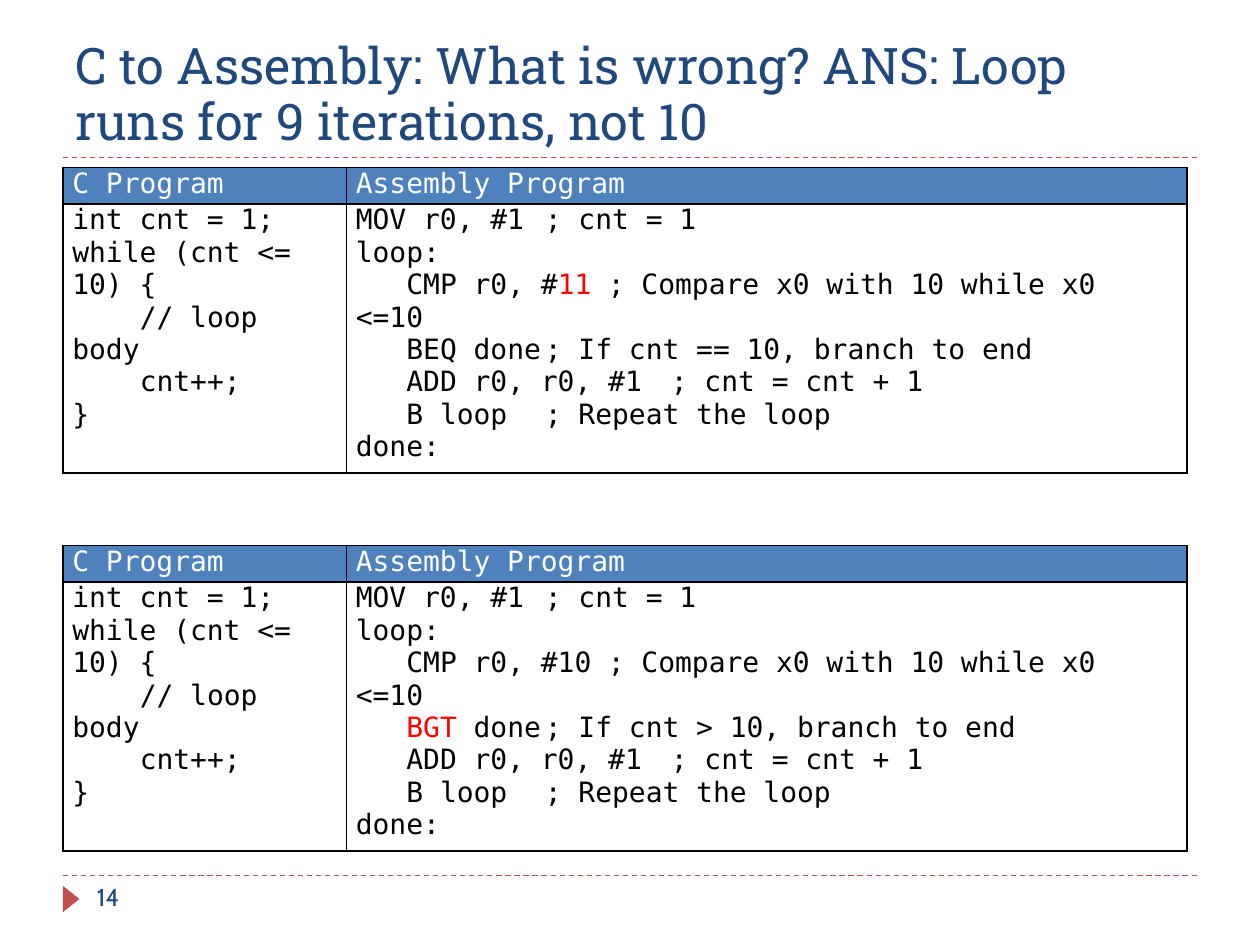
from lxml import etree
from pptx import Presentation, util as u
from pptx.dml.color import RGBColor
from pptx.enum import dml, shapes, text
from pptx.oxml.ns import qn

Pt = u.Pt

# Content: each code line is (indent in characters, text, comment);
# *stars* mark the highlighted part
TITLE = "C to Assembly: What is wrong? ANS: Loop runs for 9 iterations, not 10"
PAGE = "14"
HEADERS = ("C Program", "Assembly Program")
C_CODE = [
    (0, "int cnt = 1;", ""),
    (0, "while (cnt <= 10) {", ""),
    (4, "// loop body", ""),
    (4, "cnt++;", ""),
    (0, "}", ""),
]


def assembly(limit, branch, condition):
    return [
        (0, "MOV r0, #1", "; cnt = 1"),
        (0, "loop:", ""),
        (3, f"CMP r0, #{limit}", "; Compare x0 with 10 while x0 <=10"),
        (3, f"{branch} done", f"; If cnt {condition} 10, branch to end"),
        (3, "ADD r0, r0, #1", "; cnt = cnt + 1"),
        (3, "B loop", "; Repeat the loop"),
        (0, "done:", ""),
    ]


PROGRAMS = [assembly("*11*", "BEQ", "=="), assembly("10", "*BGT*", ">")]


class Theme:
    title_font, code_font, page_font = "Roboto Slab", "DejaVu Sans Mono", "Cabin"
    title_size, code_size, page_size = 28.8, 16, 14
    navy, accent, header = "1F497D", "C0504D", "4F81BD"
    ink, paper, mark = "000000", "FFFFFF", "FF0000"


# Layout in points
LEFT, RIGHT = 36, 684
RULES = (90, 500.4)
TABLE_TOP, TABLE_STEP = 95.76, 216
COLS, ROWS = (162, 480.24), (20.9, 144.7)
CHAR = 9.63
COMMENT_COLS = {0: 17, 3: 19.15}


def rgb(value):
    return RGBColor.from_string(value)


def style(p, font, size, color):
    p.font.name, p.font.size = font, Pt(size)
    p.font.color.rgb = rgb(color)


def add_text(s, box, content, font, size, anchor):
    tf = s.shapes.add_textbox(*map(Pt, box)).text_frame
    tf.word_wrap, tf.vertical_anchor = True, anchor
    p = tf.paragraphs[0]
    p.text = content
    style(p, font, size, Theme.navy)
    return p


def add_rule(s, y):
    ln = s.shapes.add_connector(shapes.MSO_CONNECTOR.STRAIGHT,
                                Pt(LEFT), Pt(y), Pt(RIGHT), Pt(y))
    ln.line.color.rgb = rgb(Theme.accent)
    ln.line.width = Pt(0.75)
    ln.line.dash_style = dml.MSO_LINE.DASH
    etree.SubElement(ln._element.spPr, qn("a:effectLst"))


def add_borders(cell):
    tc_pr = cell._tc.get_or_add_tcPr()
    for side in ("lnL", "lnR", "lnT", "lnB"):
        ln = etree.SubElement(tc_pr, qn(f"a:{side}"), w=str(Pt(1)))
        fill = etree.SubElement(ln, qn("a:solidFill"))
        etree.SubElement(fill, qn("a:srgbClr"), val=Theme.ink)


def fill_cell(cell, lines, color, fill=None):
    cell.margin_left = cell.margin_right = Pt(5.4)
    cell.margin_top = cell.margin_bottom = 0
    add_borders(cell)
    if fill:
        cell.fill.solid()
        cell.fill.fore_color.rgb = rgb(fill)
    else:
        cell.fill.background()
    tf = cell.text_frame
    for i, (indent, code, comment) in enumerate(lines):
        p = tf.paragraphs[0] if i == 0 else tf.add_paragraph()
        style(p, Theme.code_font, Theme.code_size, color)
        p_pr = p._p.get_or_add_pPr()
        p_pr.set("marL", "0")
        p_pr.set("indent", str(Pt(indent * CHAR)))
        if comment:  # comments line up on a tab stop
            tabs = etree.Element(qn("a:tabLst"))
            etree.SubElement(tabs, qn("a:tab"), algn="l",
                             pos=str(Pt(COMMENT_COLS[indent] * CHAR)))
            p_pr.insert(0, tabs)
            code += "\t" + comment
        for n, part in enumerate(code.split("*")):
            if part:
                r = p.add_run()
                r.text = part
                r.font.name, r.font.size = Theme.code_font, Pt(Theme.code_size)
                r.font.color.rgb = rgb(Theme.mark if n % 2 else color)


def add_program_table(s, top, program):
    table = s.shapes.add_table(2, 2, Pt(LEFT), Pt(top),
                               Pt(sum(COLS)), Pt(sum(ROWS))).table
    table.first_row = table.horz_banding = False
    for row, height in zip(table.rows, ROWS):
        row.height = Pt(height)
    for c, (width, header, code) in enumerate(zip(COLS, HEADERS, (C_CODE, program))):
        table.columns[c].width = Pt(width)
        fill_cell(table.cell(0, c), [(0, header, "")], Theme.paper, Theme.header)
        table.cell(0, c).text_frame.paragraphs[0].alignment = text.PP_ALIGN.JUSTIFY
        fill_cell(table.cell(1, c), code, Theme.ink)


def main():
    prs = Presentation()
    prs.slide_width, prs.slide_height = Pt(720), Pt(540)
    s = prs.slides.add_slide(prs.slide_layouts[6])

    # Rules and page marker
    for y in RULES:
        add_rule(s, y)
    sp = s.shapes.add_shape(shapes.MSO_SHAPE.ISOSCELES_TRIANGLE,
                            Pt(33.1), Pt(509), Pt(15.1), Pt(9.4))
    sp.rotation = 90
    sp.shadow.inherit = False
    sp.fill.solid()
    sp.fill.fore_color.rgb = rgb(Theme.accent)
    sp.line.fill.background()

    # Title and page number
    p = add_text(s, (LEFT, 12.24, RIGHT - LEFT, 77.76), TITLE, Theme.title_font,
                 Theme.title_size, text.MSO_ANCHOR.BOTTOM)
    p.line_spacing = 0.92
    add_text(s, (48.24, 500.4, 156, 28.8), PAGE, Theme.page_font,
             Theme.page_size, text.MSO_ANCHOR.TOP)

    # Program tables
    for i, program in enumerate(PROGRAMS):
        add_program_table(s, TABLE_TOP + i * TABLE_STEP, program)

    prs.save("out.pptx")


if __name__ == "__main__":
    main()
